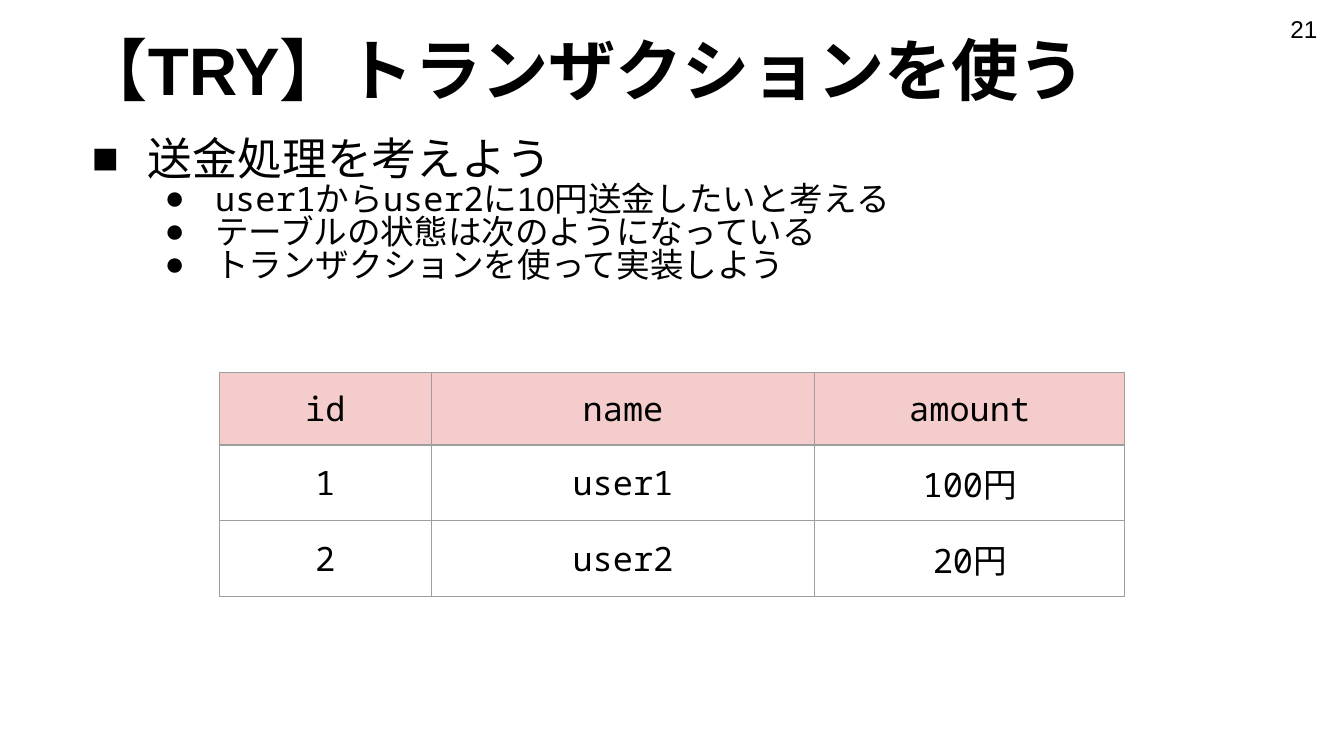
from lxml import etree
from pptx import Presentation
from pptx.dml.color import RGBColor
from pptx.enum import text
from pptx.oxml import ns
from pptx.util import Pt

COLORS = {"ink": "000000", "header": "F4CCCC", "cell": "FFFFFF", "border": "9E9E9E"}
SANS, MONO = "Arial", "Noto Sans Mono"

# Each item: level, runs as (text, font)
ITEMS = [
    (0, [("送金処理を考えよう", SANS)]),
    (1, [("user1", MONO), ("から", SANS), ("user2", MONO),
         ("に10円送金したいと考える", SANS)]),
    (1, [("テーブルの状態は次のようになっている", SANS)]),
    (1, [("トランザクションを使って実装しよう", SANS)]),
]
# Per level: bullet, size, left margin, indent, line spacing
LEVELS = [("■", 24, 36, -30, 0.9), ("●", 18, 72, -27, 0.82)]

ACCOUNTS = [
    ["id", "name", "amount"],
    ["1", "user1", "100円"],
    ["2", "user2", "20円"],
]


def add_xml(parent, tag, **attrs):
    return etree.SubElement(parent, ns.qn(tag), attrs)


class SlideBuilder:
    def __init__(self, slide):
        self.slide = slide

    def style_run(self, r, size, font=SANS, bold=False):
        r.font.size = Pt(size)
        r.font.name = font
        r.font.bold = bold
        r.font.color.rgb = RGBColor.from_string(COLORS["ink"])

    def place(self, sp, left, top, width, height):
        sp.left, sp.top, sp.width, sp.height = map(Pt, (left, top, width, height))

    def frame(self, sp, anchor):
        """Give the text frame the common insets, wrapping and no autofit."""
        tf = sp.text_frame
        tf.word_wrap = True
        tf.auto_size = text.MSO_AUTO_SIZE.NONE
        tf.vertical_anchor = anchor
        self.inset(tf)
        return tf

    def inset(self, target):
        for side in ("left", "right", "top", "bottom"):
            setattr(target, f"margin_{side}", Pt(7.2))

    def title(self, words, *box):
        sp = self.slide.shapes.title
        self.place(sp, *box)
        tf = self.frame(sp, text.MSO_ANCHOR.MIDDLE)
        tf.text = words
        p = tf.paragraphs[0]
        p.alignment = text.PP_ALIGN.LEFT
        self.style_run(p.runs[0], 36, bold=True)

    def bullets(self, items, *box):
        sp = self.slide.placeholders[1]
        self.place(sp, *box)
        tf = self.frame(sp, text.MSO_ANCHOR.TOP)
        for i, (level, runs) in enumerate(items):
            p = tf.add_paragraph() if i else tf.paragraphs[0]
            bullet, size, margin, indent, spacing = LEVELS[level]
            p.level = level
            p.line_spacing = spacing
            p.space_before = p.space_after = Pt(0)
            pPr = p._p.get_or_add_pPr()
            pPr.set("marL", str(Pt(margin)))
            pPr.set("indent", str(Pt(indent)))
            add_xml(add_xml(pPr, "a:buClr"), "a:srgbClr", val=COLORS["ink"])
            add_xml(pPr, "a:buChar", char=bullet)
            for words, font in runs:
                r = p.add_run()
                r.text = words
                self.style_run(r, size, font)

    def label(self, words, size, *box):
        sp = self.slide.shapes.add_textbox(*map(Pt, box))
        tf = self.frame(sp, text.MSO_ANCHOR.MIDDLE)
        tf.text = words
        p = tf.paragraphs[0]
        p.alignment = text.PP_ALIGN.CENTER
        self.style_run(p.runs[0], size)

    def table(self, rows, left, top, widths, heights):
        table = self.slide.shapes.add_table(
            len(rows), len(widths), Pt(left), Pt(top),
            Pt(sum(widths)), Pt(sum(heights))).table
        for column, width in zip(table.columns, widths):
            column.width = Pt(width)
        for i, (values, height) in enumerate(zip(rows, heights)):
            table.rows[i].height = Pt(height)
            for j, value in enumerate(values):
                self.cell(table.cell(i, j), value, "cell" if i else "header")

    def cell(self, cell, value, color):
        cell.text = value
        cell.vertical_anchor = text.MSO_ANCHOR.MIDDLE
        self.inset(cell)
        p = cell.text_frame.paragraphs[0]
        p.alignment = text.PP_ALIGN.CENTER
        self.style_run(p.runs[0], 18, MONO)
        tcPr = cell._tc.get_or_add_tcPr()
        for side in ("L", "R", "T", "B"):
            ln = add_xml(tcPr, f"a:ln{side}", w=str(Pt(0.75)))
            add_xml(add_xml(ln, "a:solidFill"), "a:srgbClr", val=COLORS["border"])
        cell.fill.solid()
        cell.fill.fore_color.rgb = RGBColor.from_string(COLORS[color])


def main():
    prs = Presentation()
    prs.slide_width, prs.slide_height = Pt(720), Pt(405)
    s = SlideBuilder(prs.slides.add_slide(prs.slide_layouts[1]))
    s.title("【TRY】トランザクションを使う", 36, 16.5, 648, 40.5)
    s.bullets(ITEMS, 36, 66, 648, 322)
    s.table(ACCOUNTS, 117.5, 199.5, [113.5, 205.5, 166], [37.5, 36, 36])
    s.label("21", 13, 677, 0, 43, 31)
    prs.save("out.pptx")


if __name__ == "__main__":
    main()
